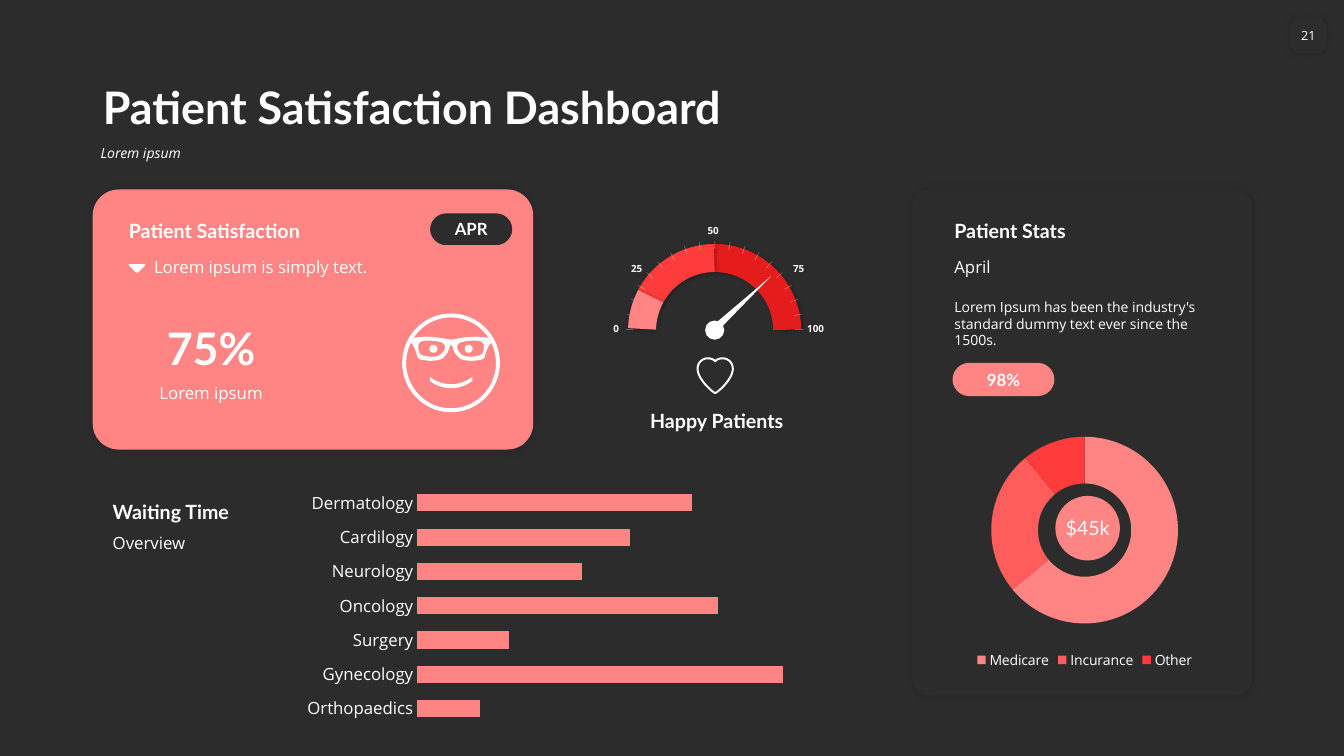
from collections import namedtuple
from math import cos, radians, sin

from lxml import etree
from pptx import Presentation
from pptx import util as u
from pptx.chart.data import CategoryChartData
from pptx.dml.color import RGBColor
from pptx.enum import chart as charts, shapes, text
from pptx.oxml import parse_xml
from pptx.oxml.ns import nsdecls, qn

DARK = RGBColor(0x2C, 0x2C, 0x2C)
WHITE = RGBColor(0xFF, 0xFF, 0xFF)
PINK = RGBColor(0xFF, 0x85, 0x85)
CORAL = RGBColor(0xFF, 0x5C, 0x5C)
RED = RGBColor(0xFF, 0x3C, 0x3C)
CRIMSON = RGBColor(0xE4, 0x1C, 0x1C)
HEAD, BODY = "Lato", "Open Sans"
COLUMNS, ROWS = 133.33, 75
CELL = u.Inches(0.1)
KIND = shapes.MSO_SHAPE
LEFT, CENTER, RIGHT = text.PP_ALIGN.LEFT, text.PP_ALIGN.CENTER, text.PP_ALIGN.RIGHT
TOP, MIDDLE, BOTTOM = (text.MSO_ANCHOR.TOP, text.MSO_ANCHOR.MIDDLE,
                       text.MSO_ANCHOR.BOTTOM)

FRAME = [(0, -23), (6, -24), (15, -25.5), (25, -26), (37, -25), (40, -20), (38, -18),
         (36, -14), (34.5, -10), (33, -5), (30, -3), (20.5, -2), (14, -2.5), (9, -4),
         (6, -7), (3.5, -10), (1, -17), (0, -18)]
LENS = [(32.5, -14), (31.5, -10), (29, -7.5), (26, -7), (20.5, -6), (14, -6.5),
        (10.5, -8), (8, -11), (6.5, -13), (6, -17), (8.5, -20), (14, -21.5),
        (20, -22), (26, -22), (30.5, -21), (32.5, -18)]


class Box(namedtuple("Box", "x y w h")):
    """A rectangle in grid cells."""

    def inner(self, x, y, w, h):
        """Return a box placed from this box's top left corner."""
        return Box(self.x + x, self.y + y, w, h)

    def emu(self):
        """Return the four lengths for python-pptx."""
        return [round(value * CELL) for value in self]


def write(shape, words, size, font=BODY, bold=False, align=LEFT, anchor=TOP,
          wrap=True, sides=1, italic=False):
    """Set and format the text of a shape."""
    frame = shape.text_frame
    frame.text = words
    frame.word_wrap = wrap
    frame.vertical_anchor = anchor
    frame.margin_left = frame.margin_right = round(sides * CELL)
    frame.margin_top = frame.margin_bottom = CELL // 2
    para = frame.paragraphs[0]
    para.alignment = align
    for span in para.runs:
        span.font.name, span.font.size = font, u.Pt(size)
        span.font.bold, span.font.italic = bold, italic
        span.font.color.rgb = WHITE


def label(page, box, words, size, **style):
    """Add a text box."""
    write(page.shapes.add_textbox(*box.emu()), words, size, **style)


def paint(shape, fill=None, line=None, width=1):
    """Set fill and line, and drop the shadow."""
    shape.shadow.inherit = False
    for paintable, color in ((shape.fill, fill), (shape.line.fill, line)):
        if color is None:
            paintable.background()
        else:
            paintable.solid()
            paintable.fore_color.rgb = color
    if line is not None:
        shape.line.width = u.Pt(width)


def solid(page, kind, box, fill=None, line=None, width=1, adjust=()):
    """Add a preset shape."""
    shape = page.shapes.add_shape(kind, *box.emu())
    paint(shape, fill, line, width)
    for index, value in enumerate(adjust):
        shape.adjustments[index] = value
    return shape


def cast_shadow(shape, alpha, blur, distance):
    """Give a shape a soft black shadow."""
    effects = shape._element.spPr.find(qn("a:effectLst"))
    effects.append(parse_xml(
        f'<a:outerShdw {nsdecls("a")} blurRad="{u.Pt(blur)}" dist="{u.Pt(distance)}" '
        f'dir="2700000" algn="tl" rotWithShape="0"><a:srgbClr val="000000">'
        f'<a:alpha val="{alpha * 1000}"/></a:srgbClr></a:outerShdw>'))


def bezier(*controls, steps=12):
    """Sample a cubic curve."""
    shares = [step / steps for step in range(steps + 1)]
    return [tuple(a * (1 - t) ** 3 + 3 * b * t * (1 - t) ** 2
                  + 3 * c * t * t * (1 - t) + d * t ** 3 for a, b, c, d in zip(*controls))
            for t in shares]


def mirror(points):
    """Flip points left to right."""
    return [(-x, y) for x, y in reversed(points)]


def outline(page, x, y, contours, **colors):
    """Draw closed contours, in tenths of a cell, around a centre."""
    placed = [[(round((x + dx / 10) * CELL), round((y + dy / 10) * CELL))
               for dx, dy in contour] for contour in contours]
    builder = page.shapes.build_freeform(*placed[0][0])
    for index, contour in enumerate(placed):
        if index:
            builder.move_to(*contour[0])
        builder.add_line_segments(contour[1:], close=True)
    paint(builder.convert_to_shape(), **colors)


def set_layout(chart, x, y, w, h):
    """Fix the inner plot area as shares of the chart."""
    area = chart._chartSpace.chart.plotArea
    for old in area.findall(qn("c:layout")):
        area.remove(old)
    layout = etree.Element(qn("c:layout"))
    manual = etree.SubElement(layout, qn("c:manualLayout"))
    for tag, value in (("layoutTarget", "inner"), ("xMode", "edge"), ("yMode", "edge"),
                       ("x", x), ("y", y), ("w", w), ("h", h)):
        etree.SubElement(manual, qn("c:" + tag)).set("val", str(value))
    area.insert(0, layout)


def add_chart(page, box, kind, values, size):
    """Add a one-series chart with white text."""
    data = CategoryChartData()
    data.categories = list(values)
    data.add_series("Series 1", list(values.values()))
    chart = page.shapes.add_chart(kind, *box.emu(), data).chart
    chart.has_title = chart.has_legend = False
    chart.font.name, chart.font.size = BODY, u.Pt(size)
    chart.font.color.rgb = WHITE
    return chart


def header(page, box):
    """Place the title, subtitle and page number."""
    title = page.shapes.title
    title.left, title.top, title.width, title.height = box.inner(0, 0, 115, 8).emu()
    write(title, "Patient Satisfaction Dashboard", 32, HEAD, True, anchor=BOTTOM)
    title.text_frame.paragraphs[0].line_spacing = 0.9
    label(page, box.inner(-0.2, 8, 115.2, 3.6), "Lorem ipsum", 10, italic=True)
    number = solid(page, KIND.ROUNDED_RECTANGLE, box.inner(118.8, -4, 3.6, 3.5), DARK,
                   adjust=[0.27])
    cast_shadow(number, 20, 5, 0)
    write(number, "21", 9, align=CENTER, anchor=MIDDLE, wrap=False, sides=0)


def face(page, x, y):
    """Draw a smiling face with glasses around a centre."""
    solid(page, KIND.OVAL, Box(x - 4.65, y - 4.7, 9.3, 9.4), line=WHITE, width=2.8)
    outline(page, x, y, [FRAME + mirror(FRAME), LENS, mirror(LENS)], fill=WHITE)
    for side in (-1, 1):
        solid(page, KIND.OVAL, Box(x + side * 1.75 - 0.4, y - 1.8, 0.8, 0.8), WHITE)
    lower = bezier((-21, 18), (-8, 27.5), (8, 27.5), (21, 18))
    upper = [(dx, dy - 4) for dx, dy in reversed(lower)]
    outline(page, x, y, [lower + upper], fill=WHITE)


def satisfaction_card(page, box):
    """Place the patient satisfaction card."""
    cast_shadow(solid(page, KIND.ROUNDED_RECTANGLE, box, PINK, adjust=[0.1]), 15, 6, 1)
    label(page, box.inner(3.6, 12.4, 16.3, 6.4), "75%", 32, font=HEAD, bold=True,
          align=CENTER, anchor=BOTTOM)
    label(page, box.inner(3.6, 18.7, 16.3, 3), "Lorem ipsum", 12, align=CENTER)
    month = solid(page, KIND.ROUNDED_RECTANGLE, box.inner(33.4, 2.3, 8.3, 3.3), DARK, PINK,
                  adjust=[0.5])
    write(month, "APR", 12, HEAD, True, CENTER, MIDDLE, sides=0)
    label(page, box.inner(2.6, 2.3, 25.1, 3.4), "Patient Satisfaction", 14, font=HEAD,
          bold=True, anchor=BOTTOM)
    label(page, box.inner(5.1, 6.2, 36.7, 3), "Lorem ipsum is simply text.", 12)
    outline(page, box.x + 4.4, box.y + 7.85,
            [[(-8, -4.5), (8, -4.5), (8, -3), (1, 4), (-1, 4), (-8, -3)]], fill=WHITE)
    face(page, box.x + 35.55, box.y + 17.2)


def gauge(page, box):
    """Place the happy patients gauge, its heart and caption."""
    x, y = box.x + 13, box.y + 11
    dial = Box(x - 7.2, y - 7.2, 14.4, 14.4)

    def arc(start, end, color):
        """Draw a band of the dial between two angles."""
        band = solid(page, KIND.ARC, dial, line=color, width=20,
                     adjust=[start * 0.6, end * 0.6])
        cast_shadow(band, 30, 3, 1)

    arc(267.6, 359.3, CRIMSON)
    arc(206.49, 269.61, RED)
    for angle in range(180, 361, 10):
        ends = [round(value * CELL) for radius in (8.8, 8) for value in
                (x + radius * cos(radians(angle)), y - 0.1 + radius * sin(radians(angle)))]
        tick = page.shapes.add_connector(shapes.MSO_CONNECTOR.STRAIGHT, *ends)
        tick.line.color.rgb, tick.line.width = WHITE, u.Pt(0.5)
        color = tick._element.spPr.find(".//" + qn("a:srgbClr"))
        etree.SubElement(color, qn("a:alpha")).set("val", "30000")
        etree.SubElement(tick._element.spPr, qn("a:effectLst"))
    for words, dx, dy, width, align in (
            ("0", -11.1, -1.3, 2.6, RIGHT), ("25", -9.3, -7.3, 3.1, RIGHT),
            ("50", -1.7, -11, 3.1, CENTER), ("75", 6.8, -7.3, 3.1, LEFT),
            ("100", 8.2, -1.3, 4.5, LEFT)):
        label(page, Box(x + dx, y + dy, width, 2.2), words, 7, bold=True, align=align,
              anchor=MIDDLE, wrap=False)
    arc(181.33, 208.21, PINK)
    solid(page, KIND.OVAL, Box(x - 0.95, y - 1, 1.9, 1.9), WHITE)
    label(page, box.inner(0, 18.2, 26.4, 3.4), "Happy Patients", 14, font=HEAD, bold=True,
          align=CENTER, anchor=MIDDLE, sides=0.4)
    solid(page, KIND.ISOSCELES_TRIANGLE, Box(x + 2.2, y - 6.7, 0.8, 8.2), WHITE).rotation = 47
    half = (bezier((0, -14.5), (1.5, -16.5), (4.5, -17.5), (7.5, -17.5))
            + bezier((7.5, -17.5), (13, -17.5), (17.5, -13), (17.5, -7))
            + bezier((17.5, -7), (17.5, 3), (3, 16), (0, 17)))
    outline(page, x + 0.05, y + 4.5, [half + mirror(half)], line=WHITE, width=1.4)


def waiting_time(page, box):
    """Place the waiting time heading and bar chart."""
    label(page, box.inner(0, 1.3, 28.6, 3.4), "Waiting Time", 14, font=HEAD, bold=True,
          anchor=BOTTOM)
    label(page, box.inner(0, 4.7, 28.6, 3), "Overview", 12)
    waits = {"Dermatology": 75, "Cardilogy": 58, "Neurology": 45, "Oncology": 82,
             "Surgery": 25, "Gynecology": 100, "Orthopaedics": 17}
    chart = add_chart(page, box.inner(18.9, 0, 55.9, 24.8),
                      charts.XL_CHART_TYPE.BAR_CLUSTERED, waits, 12)
    plot, names, scale = chart.plots[0], chart.category_axis, chart.value_axis
    plot.gap_width, plot.vary_by_categories = 100, False
    plot.series[0].format.fill.solid()
    plot.series[0].format.fill.fore_color.rgb = PINK
    names.reverse_order = True
    names.major_tick_mark = charts.XL_TICK_MARK.NONE
    names.format.line.fill.background()
    scale.minimum_scale, scale.maximum_scale = 0, 120
    scale.has_major_gridlines = scale.visible = False
    set_layout(chart, 0.22, 0.02, 0.78, 0.96)


def stats_card(page, box):
    """Place the patient stats card with its doughnut chart."""
    cast_shadow(solid(page, KIND.ROUNDED_RECTANGLE, box, DARK, adjust=[0.05]), 15, 6, 1)
    label(page, box.inner(3.2, 2.3, 29.6, 3.4), "Patient Stats", 14, font=HEAD, bold=True,
          anchor=BOTTOM)
    label(page, box.inner(3.2, 6.2, 29.6, 3), "April", 12)
    score = solid(page, KIND.ROUNDED_RECTANGLE, box.inner(4, 17.2, 10.1, 3.3), PINK,
                  adjust=[0.5])
    write(score, "98%", 12, HEAD, True, CENTER, MIDDLE, sides=0)
    label(page, box.inner(3.2, 10.3, 29.6, 4.4), "Lorem Ipsum has been the industry's "
          "standard dummy text ever since the 1500s.", 10)
    chart = add_chart(page, box.inner(1.4, 23.3, 31.4, 24.7), charts.XL_CHART_TYPE.DOUGHNUT,
                      {"Medicare": 64, "Incurance": 25, "Other": 11}, 10)
    chart.has_legend = True
    chart.legend.position = charts.XL_LEGEND_POSITION.BOTTOM
    chart.legend.include_in_layout = False
    plot = chart.plots[0]
    plot._element.find(qn("c:holeSize")).set("val", "75")
    for index, color in enumerate((PINK, CORAL, RED)):
        slice_format = plot.series[0].points[index].format
        slice_format.fill.solid()
        slice_format.fill.fore_color.rgb = color
        slice_format.line.fill.background()
    set_layout(chart, 0.2, 0.05, 0.6, 0.75)
    total = solid(page, KIND.OVAL, box.inner(14.2, 30.4, 6.4, 6.4), PINK)
    write(total, "$45k", 14, HEAD, align=CENTER, anchor=MIDDLE, wrap=False, sides=0)


def main():
    """Build the dashboard and save it."""
    deck = Presentation()
    deck.slide_width, deck.slide_height = round(COLUMNS * CELL), ROWS * CELL
    page = deck.slides.add_slide(deck.slide_layouts[5])
    page.background.fill.solid()
    page.background.fill.fore_color.rgb = DARK
    header(page, Box(9.2, 5.8, 115, 11.6))
    satisfaction_card(page, Box(9.2, 18.8, 43.7, 25.8))
    gauge(page, Box(57.9, 21.8, 26.4, 21.6))
    waiting_time(page, Box(10.2, 47.7, 74.8, 24.8))
    stats_card(page, Box(90.5, 18.8, 33.7, 50.2))
    deck.save("out.pptx")


if __name__ == "__main__":
    main()
